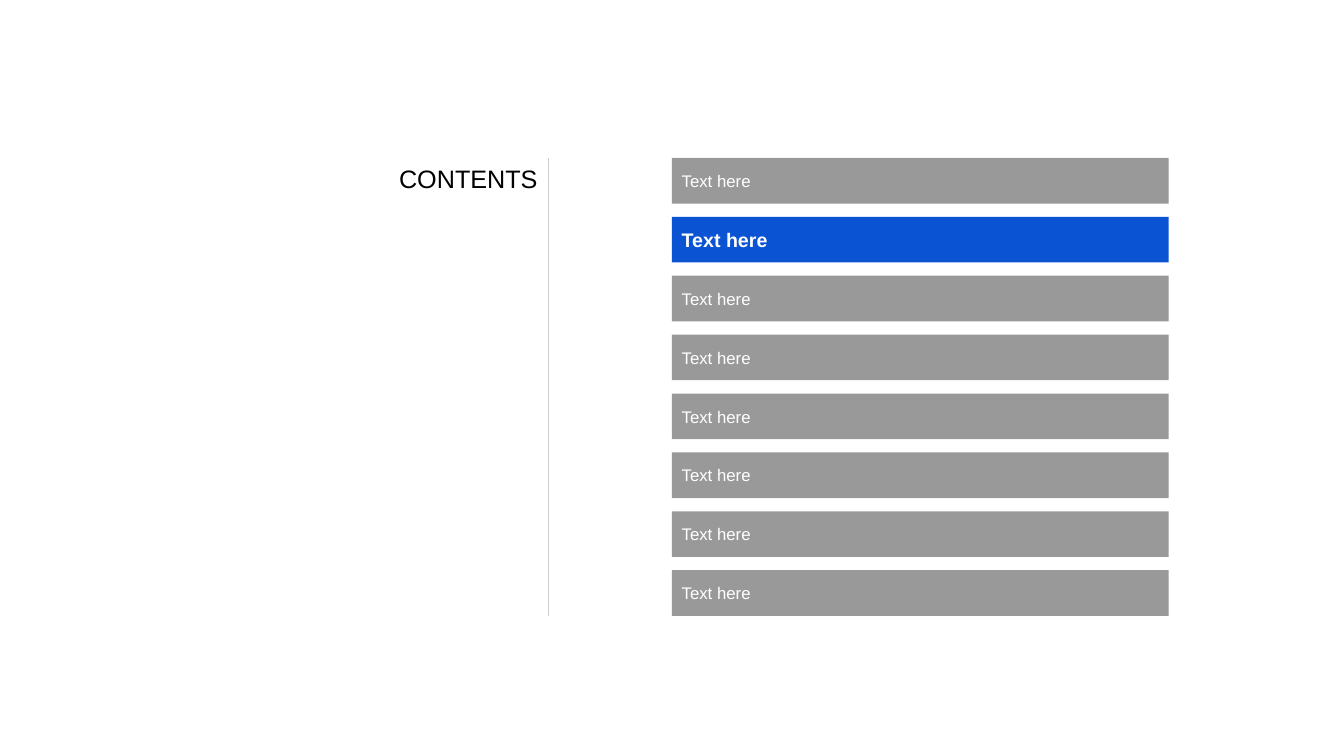
import pptx
import pptx.util
import pptx.dml.color
import pptx.enum.shapes
import pptx.enum.text
import pptx.oxml

Cm = pptx.util.Cm
Pt = pptx.util.Pt
ALIGN = pptx.enum.text.PP_ALIGN
ANCHOR = pptx.enum.text.MSO_ANCHOR

TOP, SPAN = 3.98, 11.54
ITEMS = ["Text here"] * 8
ACTIVE = 1


def color(code):
    return pptx.dml.color.RGBColor.from_string(code)


def paint(shape, code):
    shape.fill.solid()
    shape.fill.fore_color.rgb = color(code)
    shape.line.fill.background()


def apply(target, values):
    for name, value in values.items():
        setattr(target, name, value)


def write(shape, text, size, code, align, anchor, bold=False):
    frame = shape.text_frame
    frame.text = text
    apply(frame, {
        "word_wrap": True, "vertical_anchor": anchor,
        "auto_size": pptx.enum.text.MSO_AUTO_SIZE.NONE,
        "margin_left": Cm(0.25), "margin_right": Cm(0.25),
        "margin_top": Cm(0.13), "margin_bottom": Cm(0.13),
    })
    para = frame.paragraphs[0]
    para.alignment = align
    font = para.runs[0].font
    apply(font, {"name": "Arial", "size": Pt(size), "bold": bold})
    font.color.rgb = color(code)


def add_title(slide, text):
    title = slide.shapes.title
    apply(title, {"left": Cm(8.59), "top": Cm(TOP),
                  "width": Cm(5.21), "height": Cm(2.26)})
    paint(title, "FFFFFF")
    write(title, text, 18, "000000", ALIGN.RIGHT, ANCHOR.TOP)


def add_rule(slide, left):
    rule = slide.shapes.add_connector(
        pptx.enum.shapes.MSO_CONNECTOR.STRAIGHT,
        Cm(left), Cm(TOP), Cm(left), Cm(TOP + SPAN))
    rule.line.width = Pt(0.5)
    rule.line.color.rgb = color("CCCCCC")
    # Empty effect list: no shadow
    props = rule.line._get_or_add_ln().getparent()
    props.append(pptx.oxml.parse_xml(
        '<a:effectLst xmlns:a='
        '"http://schemas.openxmlformats.org/drawingml/2006/main"/>'))


def add_bar(slide, text, top, high, active):
    bar = slide.shapes.add_shape(
        pptx.enum.shapes.MSO_SHAPE.RECTANGLE,
        Cm(16.93), Cm(top), Cm(12.52), Cm(high))
    bar.shadow.inherit = False
    paint(bar, "0A54D3" if active else "999999")
    write(bar, text, 14 if active else 12, "FFFFFF",
          ALIGN.LEFT, ANCHOR.MIDDLE, active)


def main():
    deck = pptx.Presentation()
    apply(deck, {"slide_width": Cm(33.87), "slide_height": Cm(19.05)})
    slide = deck.slides.add_slide(deck.slide_layouts[5])

    # Heading and divider
    add_title(slide, "CONTENTS")
    add_rule(slide, 13.82)

    # Agenda bars, spread evenly along the divider
    high = 1.15
    step = (SPAN - high) / (len(ITEMS) - 1)
    for index, text in enumerate(ITEMS):
        add_bar(slide, text, TOP + index * step, high, index == ACTIVE)

    deck.save("out.pptx")


if __name__ == "__main__":
    main()
